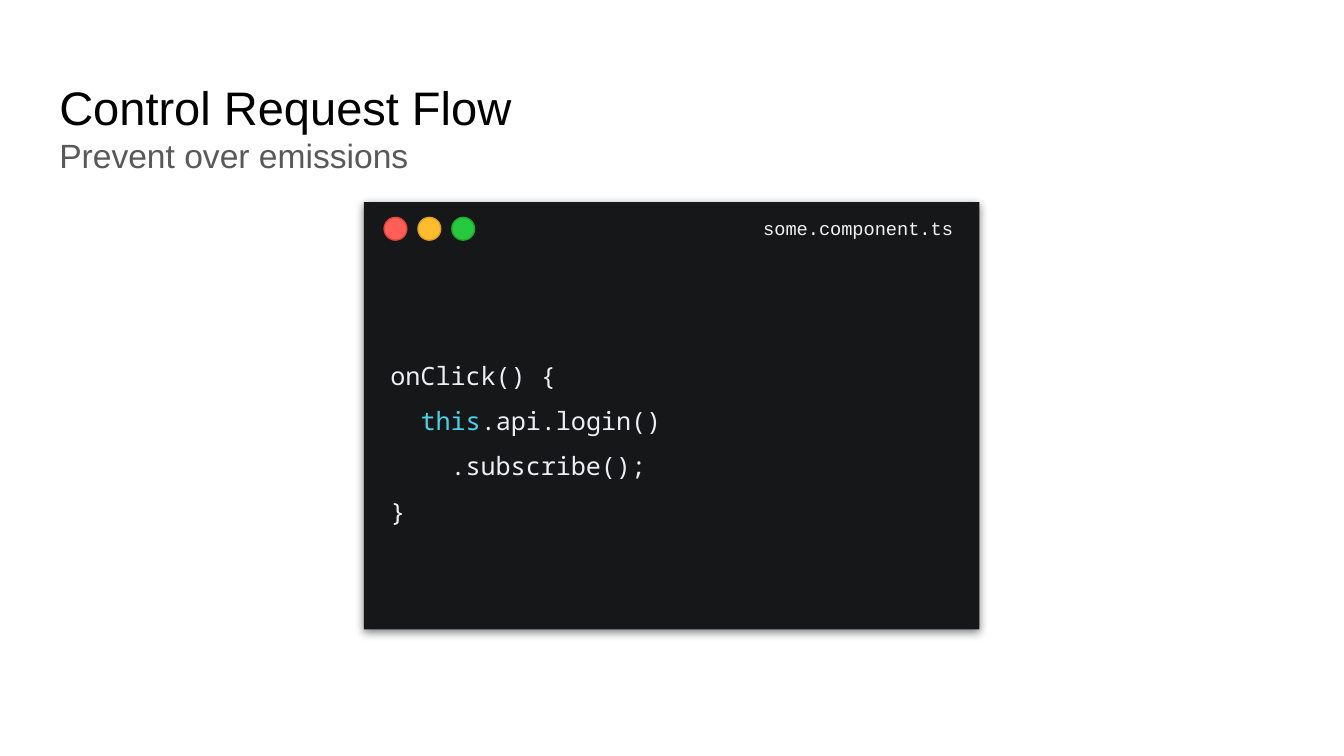
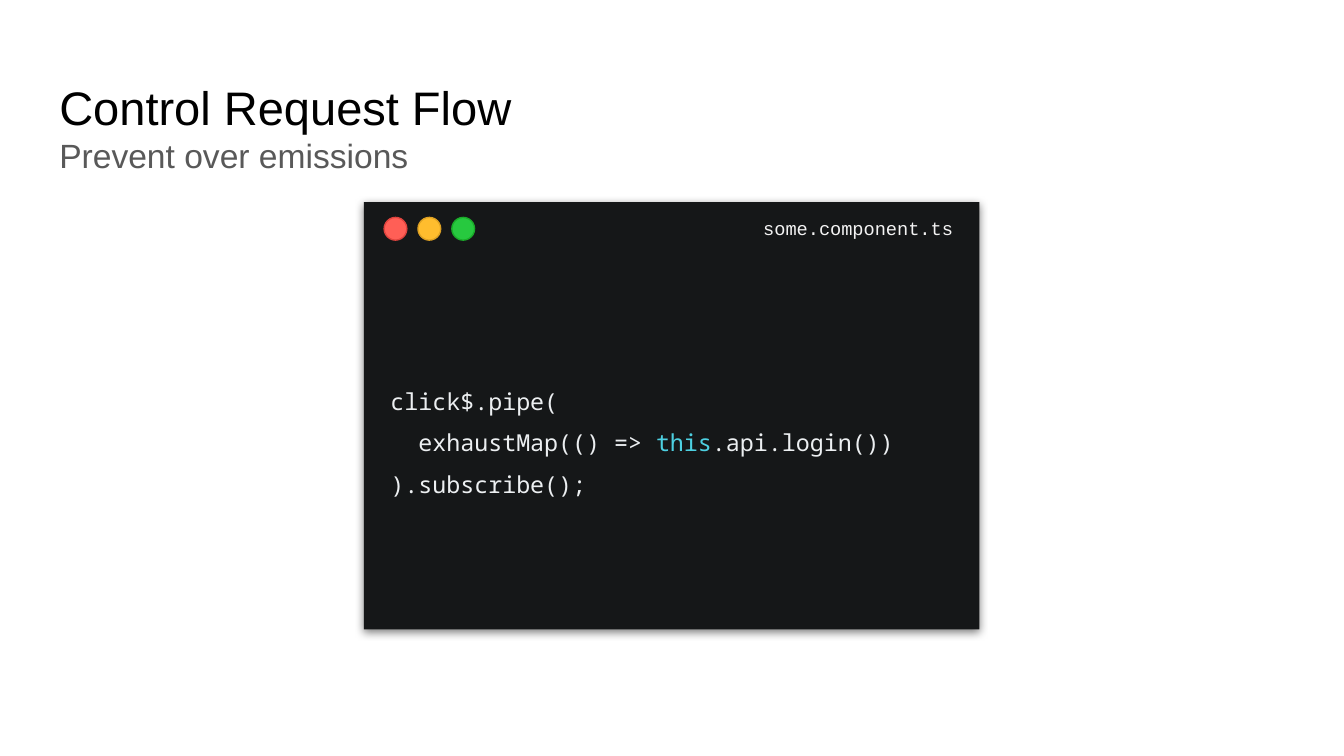
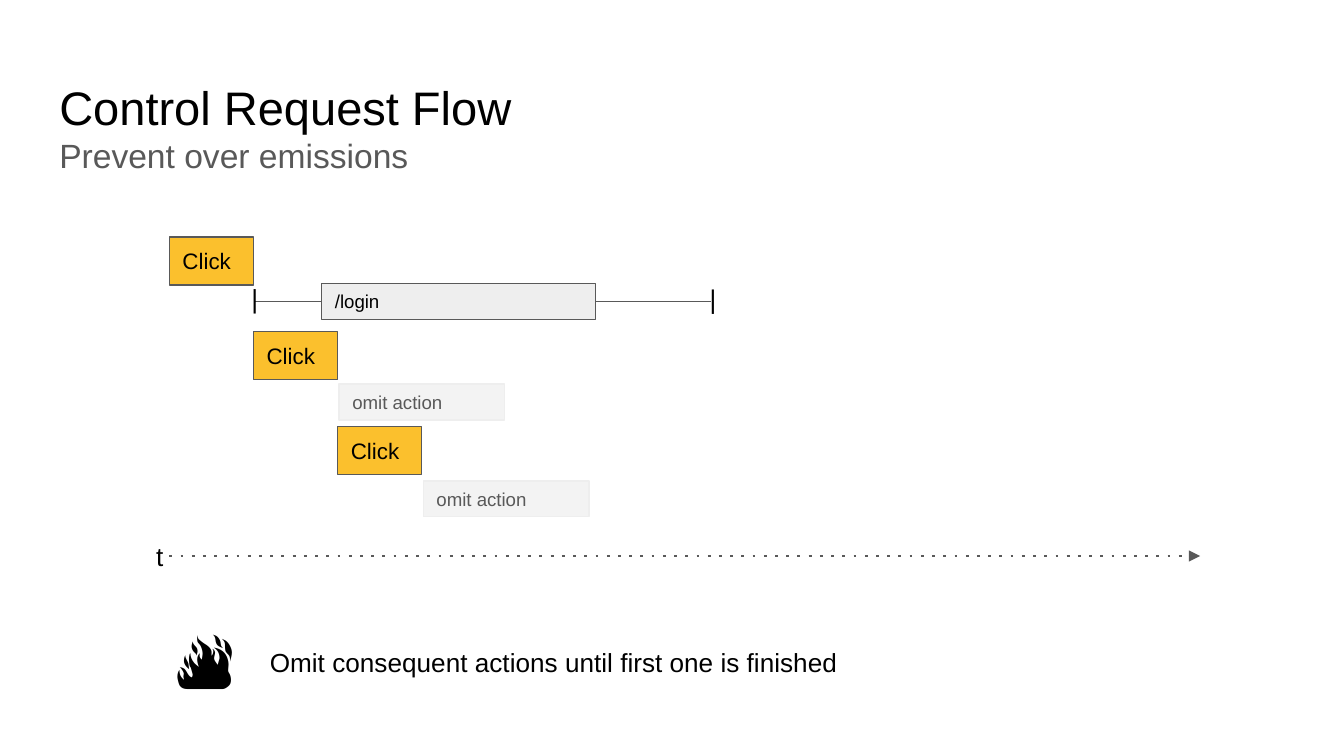
from dataclasses import dataclass

from pptx import Presentation
from pptx.dml.color import RGBColor
from pptx.enum.dml import MSO_LINE
from pptx.enum.shapes import MSO_CONNECTOR, MSO_SHAPE
from pptx.enum.text import MSO_ANCHOR, MSO_AUTO_SIZE, PP_ALIGN
from pptx.oxml import parse_xml
from pptx.oxml.ns import nsdecls, qn
from pptx.util import Cm, Pt


@dataclass(frozen=True)
class Theme:
    body_font: str = "Arial"
    code_font: str = "Noto Sans Mono"
    file_font: str = "Courier New"
    black: str = "000000"
    grey: str = "595959"
    window: str = "151718"
    code: str = "ECEFF1"
    keyword: str = "4DD0E1"
    file_name: str = "F3F3F3"
    click: str = "FBC02D"
    request: str = "EEEEEE"
    omitted: str = "F3F3F3"
    title_size: float = 25.2
    subtitle_size: float = 18
    note_size: float = 14
    click_size: float = 12
    small_size: float = 10
    icon_size: float = 32


THEME = Theme()

# Content
TITLE = "Control Request Flow"
SUBTITLE = "Prevent over emissions"
FILE_NAME = "some.component.ts"
KEYWORD = "this"
SNIPPETS = [
    (13.5, ["onClick() {", "  this.api.login()", "    .subscribe();", "}"]),
    (12.5, ["click$.pipe(", "  exhaustMap(() => this.api.login())", ").subscribe();"]),
]
WINDOW_BUTTONS = [("FF5F56", "E0443E"), ("FFBD2E", "DEA123"), ("27C93F", "1AAB29")]
CLICK = "Click"
REQUEST = "/login"
OMITTED = "omit action"
OMITTED_TOPS = [7.26, 9.09]
TAKEAWAY = "Omit consequent actions until first one is finished"

# Geometry in centimetres
INSET = 0.25
WINDOW_LEFT, WINDOW_TOP, WINDOW_WIDTH, WINDOW_HEIGHT = 6.88, 3.82, 11.63, 8.08
BAR_HEIGHT = 1.0
CLICK_LEFT, CLICK_TOP, CLICK_WIDTH, CLICK_HEIGHT = 3.2, 4.48, 1.59, 0.91
CLICK_STEP = 1.79
ACTION_HEIGHT = 0.68
REQUEST_LEFT, REQUEST_TOP, REQUEST_WIDTH = 6.08, 5.36, 5.18
REQUEST_START, REQUEST_END = 4.82, 13.44


def color(code):
    return RGBColor.from_string(code)


# Text helpers
def add_span(para, text, size, shade=THEME.black, font=THEME.body_font):
    span = para.add_run()
    span.text = text
    span.font.size = Pt(size)
    span.font.name = font
    span.font.color.rgb = color(shade)


def set_frame(shape, anchor=MSO_ANCHOR.TOP, left=INSET, right=INSET, bottom=INSET):
    frame = shape.text_frame
    frame.word_wrap = True
    frame.auto_size = MSO_AUTO_SIZE.NONE
    frame.vertical_anchor = anchor
    frame.margin_left, frame.margin_right = Cm(left), Cm(right)
    frame.margin_top, frame.margin_bottom = Cm(INSET), Cm(bottom)
    return frame


def add_text_box(page, left, top, width, height):
    return page.shapes.add_textbox(Cm(left), Cm(top), Cm(width), Cm(height))


def add_label(page, text, left, top, width, height, size=THEME.note_size,
              align=PP_ALIGN.LEFT):
    box = add_text_box(page, left, top, width, height)
    para = set_frame(box).paragraphs[0]
    para.alignment = align
    add_span(para, text, size)
    return box


# Shape helpers
def add_figure(page, kind, left, top, width, height, fill, outline=None):
    figure = page.shapes.add_shape(kind, Cm(left), Cm(top), Cm(width), Cm(height))
    figure.shadow.inherit = False
    figure.fill.solid()
    figure.fill.fore_color.rgb = color(fill)
    if outline:
        figure.line.color.rgb = color(outline)
        figure.line.width = Pt(0.75)
    else:
        figure.line.fill.background()
    return figure


def add_block(page, text, left, top, width, height, fill, size,
              outline=THEME.grey, shade=THEME.black):
    block = add_figure(page, MSO_SHAPE.RECTANGLE, left, top, width, height, fill, outline)
    para = set_frame(block, MSO_ANCHOR.MIDDLE).paragraphs[0]
    para.alignment = PP_ALIGN.LEFT
    add_span(para, text, size, shade)


def add_line(page, start, end, y, width=0.75):
    line = page.shapes.add_connector(MSO_CONNECTOR.STRAIGHT, Cm(start), Cm(y), Cm(end), Cm(y))
    line.line.color.rgb = color(THEME.grey)
    line.line.width = Pt(width)
    line._element.spPr.append(parse_xml(f"<a:effectLst {nsdecls('a')}/>"))
    return line


def add_page(deck):
    page = deck.slides.add_slide(deck.slide_layouts[5])
    title = page.shapes.title
    title.left, title.top, title.width, title.height = Cm(0.87), Cm(1.24), Cm(23.67), Cm(1.6)
    para = set_frame(title).paragraphs[0]
    para.alignment = PP_ALIGN.LEFT
    add_span(para, TITLE, THEME.title_size)
    para.add_line_break()
    add_span(para, SUBTITLE, THEME.subtitle_size, THEME.grey)
    return page


# Code window
def add_window(page):
    window = add_figure(page, MSO_SHAPE.RECTANGLE, WINDOW_LEFT, WINDOW_TOP,
                        WINDOW_WIDTH, WINDOW_HEIGHT, THEME.window)
    window._element.spPr.find(qn("a:effectLst")).append(parse_xml(
        f'<a:outerShdw {nsdecls("a")} blurRad="{Pt(4.5)}" dist="{Pt(1.5)}" dir="5400000" '
        f'algn="bl" rotWithShape="0"><a:srgbClr val="{THEME.black}">'
        '<a:alpha val="50000"/></a:srgbClr></a:outerShdw>'))
    for index, (fill, outline) in enumerate(WINDOW_BUTTONS):
        add_figure(page, MSO_SHAPE.OVAL, WINDOW_LEFT + 0.38 + 0.64 * index,
                   WINDOW_TOP + 0.29, 0.43, 0.43, fill, outline)
    box = add_text_box(page, WINDOW_LEFT + 1.22, WINDOW_TOP, WINDOW_WIDTH - 1.22, BAR_HEIGHT)
    para = set_frame(box, MSO_ANCHOR.MIDDLE, right=0.5).paragraphs[0]
    para.alignment = PP_ALIGN.RIGHT
    add_span(para, FILE_NAME, THEME.small_size, THEME.file_name, THEME.file_font)


def add_code(page, size, lines):
    box = add_text_box(page, WINDOW_LEFT, WINDOW_TOP + BAR_HEIGHT,
                       WINDOW_WIDTH, WINDOW_HEIGHT - BAR_HEIGHT)
    frame = set_frame(box, MSO_ANCHOR.MIDDLE, left=0.5, right=0.5, bottom=0.5)
    for index, line in enumerate(lines):
        para = frame.add_paragraph() if index else frame.paragraphs[0]
        para.line_spacing = 1.5
        before, keyword, after = line.partition(KEYWORD)
        for text, shade in ((before, THEME.code), (keyword, THEME.keyword), (after, THEME.code)):
            if text:
                add_span(para, text, size, shade, THEME.code_font)


# Timeline
def add_timeline(page):
    for index in range(len(OMITTED_TOPS) + 1):
        add_block(page, CLICK, CLICK_LEFT + CLICK_WIDTH * index, CLICK_TOP + CLICK_STEP * index,
                  CLICK_WIDTH, CLICK_HEIGHT, THEME.click, THEME.click_size)
    for index, top in enumerate(OMITTED_TOPS, start=2):
        add_block(page, OMITTED, CLICK_LEFT + CLICK_WIDTH * index + 0.03, top, 3.13, ACTION_HEIGHT,
                  THEME.omitted, THEME.small_size, THEME.request, THEME.grey)

    # Request with its start and end marks
    add_block(page, REQUEST, REQUEST_LEFT, REQUEST_TOP, REQUEST_WIDTH, ACTION_HEIGHT,
              THEME.request, THEME.small_size)
    middle = REQUEST_TOP + ACTION_HEIGHT / 2
    add_line(page, REQUEST_LEFT, REQUEST_START, middle)
    add_line(page, REQUEST_LEFT + REQUEST_WIDTH, REQUEST_END, middle)
    add_label(page, "|", REQUEST_START - 0.32, 5.08, 0.66, 1.12)
    add_label(page, "|", REQUEST_END - 0.31, 5.21, 0.66, 1.12).rotation = 180

    # Time axis
    axis = add_line(page, CLICK_LEFT, 22.68, 10.51, 1.5)
    axis.line.dash_style = MSO_LINE.ROUND_DOT
    axis.line._get_or_add_ln().append(parse_xml(f'<a:tailEnd {nsdecls("a")} type="triangle"/>'))
    axis.line._get_or_add_ln().find(qn("a:prstDash")).set("val", "dot")
    add_label(page, "t", 2.72, 9.96, 0.48, 1.12)


def main():
    deck = Presentation()
    deck.slide_width, deck.slide_height = Cm(25.4), Cm(14.29)
    for size, lines in SNIPPETS:
        page = add_page(deck)
        add_window(page)
        add_code(page, size, lines)

    page = add_page(deck)
    add_timeline(page)
    add_label(page, "🔥", 2.9, 11.46, 1.96, 1.88, THEME.icon_size, PP_ALIGN.CENTER)
    add_label(page, TAKEAWAY, 4.85, 11.96, 12.01, 1.12)
    deck.save("out.pptx")


if __name__ == "__main__":
    main()
